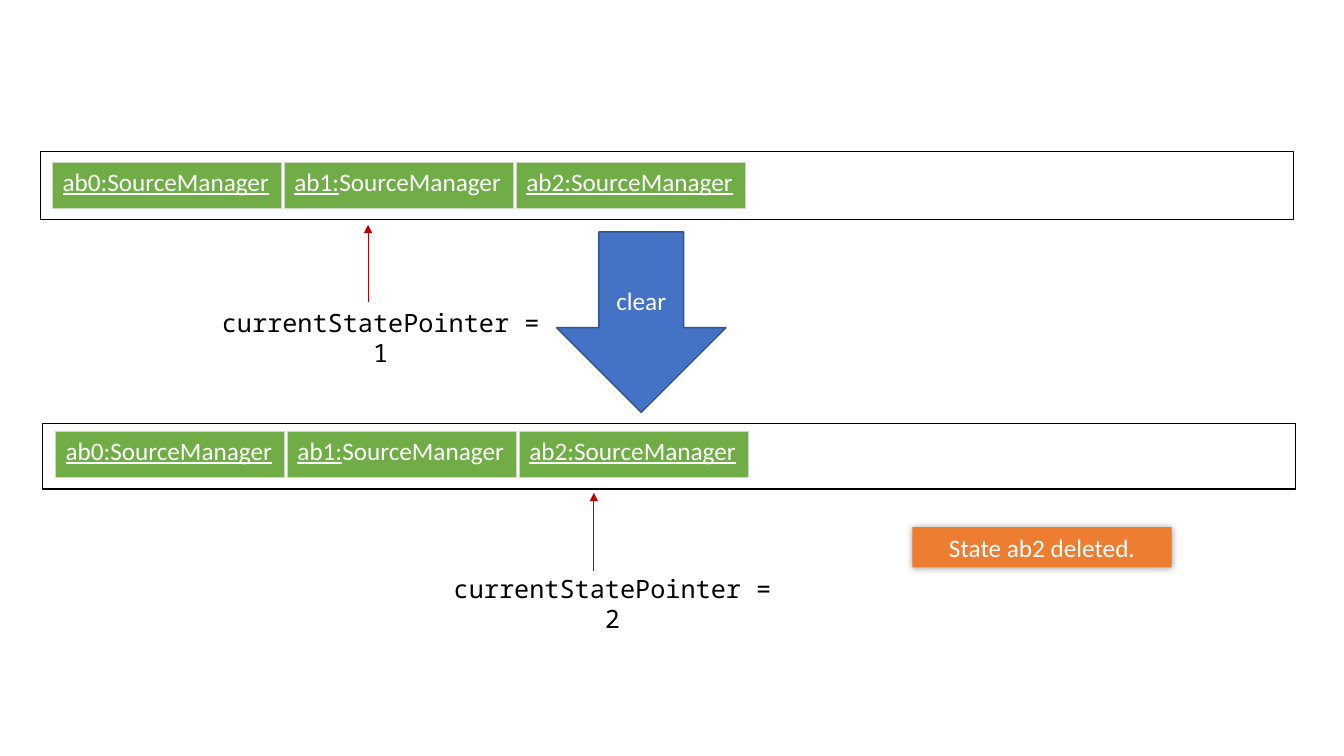
from lxml import etree
from pptx import Presentation
from pptx import util as u
from pptx.dml.color import RGBColor
from pptx.enum import shapes, text
from pptx.oxml import parse_xml
from pptx.oxml.ns import qn

NS = 'xmlns:a="http://schemas.openxmlformats.org/drawingml/2006/main"'
WIDE, HIGH = 13.33, 7.5
BAR_W, CELL_W, CELL_H, STEP = 12.43, 2.27, 0.46, 2.3
NOTE_W, NOTE_H = 3.51, 0.4
STATES = [("ab0:SourceManager", ""), ("ab1:", "SourceManager"),
          ("ab2:SourceManager", "")]


def rgb(code):
    return RGBColor.from_string(code)


def inches(*vals):
    return [u.Inches(v) for v in vals]


def style(par, color, font="Calibri", align=text.PP_ALIGN.CENTER):
    par.alignment = align
    par.font.size = u.Pt(18)
    par.font.name = font
    par.font.color.rgb = rgb(color)


def block(slide, kind, box, fill=None, line=None, label=""):
    shape = slide.shapes.add_shape(kind, *inches(*box))
    shape.shadow.inherit = False
    if fill:
        shape.fill.solid()
        shape.fill.fore_color.rgb = rgb(fill)
    else:
        shape.fill.background()
    if line:
        shape.line.color.rgb = rgb(line)
        shape.line.width = u.Pt(1)
    else:
        shape.line.fill.background()
    if label:
        shape.text_frame.text = label
        style(shape.text_frame.paragraphs[0], "FFFFFF")
    return shape


def state(slide, left, top, name, plain):
    """One state as a one-cell table; only the name is underlined."""
    frame = slide.shapes.add_table(
        1, 1, *inches(left, top, CELL_W, CELL_H))
    cell = frame.table.cell(0, 0)
    cell.fill.solid()
    cell.fill.fore_color.rgb = rgb("70AD47")
    par = cell.text_frame.paragraphs[0]
    style(par, "FFFFFF", align=text.PP_ALIGN.LEFT)
    par.font.bold = False
    for words, under in ((name, True), (plain, False)):
        if words:
            run = par.add_run()
            run.text = words
            run.font.underline = under
            run.font.bold = False
            run.font.size = u.Pt(18)
            run.font.name = "Calibri"
            run.font.color.rgb = rgb("FFFFFF")
    props = cell._tc.get_or_add_tcPr()
    for spot, side in enumerate(("lnL", "lnR", "lnT", "lnB")):
        props.insert(spot, parse_xml(
            f'<a:{side} {NS} w="6350"><a:solidFill>'
            f'<a:srgbClr val="C9DBC1"/></a:solidFill></a:{side}>'))


def pointer(slide, x, top, left, note_top, index):
    """Arrow up to the bar at top, with its label below."""
    line = slide.shapes.add_connector(
        shapes.MSO_CONNECTOR.STRAIGHT, *inches(x, top + 0.77, x, top))
    line.line.color.rgb = rgb("C00000")
    line.line.width = u.Pt(0.5)
    etree.SubElement(line.line._get_or_add_ln(), qn("a:tailEnd"),
                     type="triangle")
    etree.SubElement(line._element.spPr, qn("a:effectLst"))
    note = slide.shapes.add_textbox(
        *inches(left, note_top, NOTE_W, NOTE_H)).text_frame
    note.word_wrap = True
    note.auto_size = text.MSO_AUTO_SIZE.SHAPE_TO_FIT_TEXT
    note.text = f"currentStatePointer = {index}"
    style(note.paragraphs[0], "000000", "Noto Sans Mono")


def history(slide, left, top, height, pad_x, pad_y):
    """Outlined bar holding the row of states."""
    block(slide, shapes.MSO_SHAPE.RECTANGLE, (left, top, BAR_W, height),
          line="000000")
    for col, (name, plain) in enumerate(STATES):
        state(slide, left + pad_x + col * STEP, top + pad_y, name, plain)


def clear(slide, box):
    block(slide, shapes.MSO_SHAPE.DOWN_ARROW, box, "4472C4", "325491",
          "clear")


def result(slide, box):
    """Message with a soft glow-like shadow."""
    shape = block(slide, shapes.MSO_SHAPE.RECTANGLE, box, "ED7D31",
                  label="State ab2 deleted.")
    shape.text_frame.auto_size = text.MSO_AUTO_SIZE.SHAPE_TO_FIT_TEXT
    shape.text_frame.vertical_anchor = text.MSO_ANCHOR.TOP
    shape._element.spPr.find(qn("a:effectLst")).append(parse_xml(
        f'<a:outerShdw {NS} blurRad="63500" dist="0" dir="0" '
        'algn="ctr" rotWithShape="0"><a:srgbClr val="000000">'
        '<a:alpha val="40000"/></a:srgbClr></a:outerShdw>'))


def main():
    deck = Presentation()
    deck.slide_width, deck.slide_height = inches(WIDE, HIGH)
    slide = deck.slides.add_slide(deck.slide_layouts[6])
    clear(slide, (5.52, 2.3, 1.68, 1.79))
    result(slide, (9.05, 5.23, 2.57, 0.4))
    history(slide, 0.4, 1.5, 0.68, 0.12, 0.11)
    history(slide, 0.42, 4.2, 0.65, 0.13, 0.08)
    pointer(slide, 3.65, 2.23, 2.02, 3, 1)
    pointer(slide, 5.89, 4.89, 4.32, 5.64, 2)
    deck.save("out.pptx")


if __name__ == "__main__":
    main()
